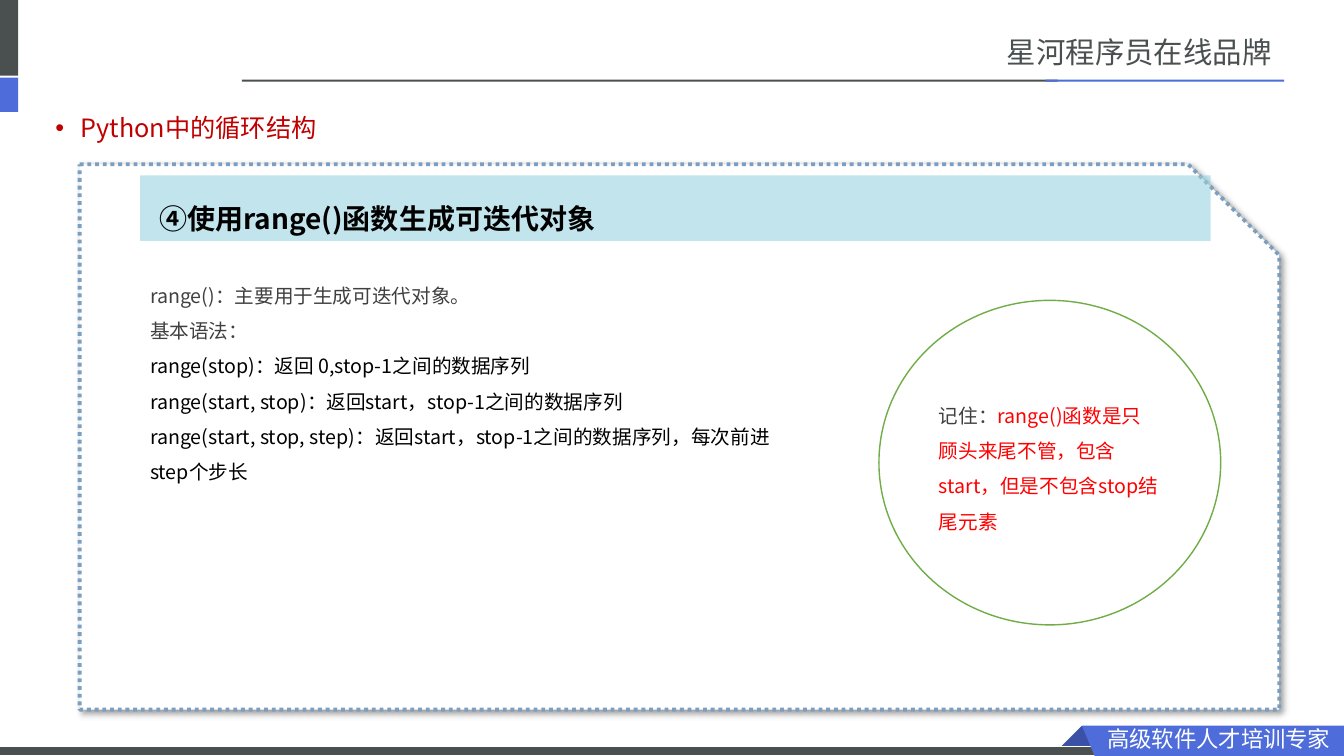
from lxml import etree
from pptx import Presentation, util as u
from pptx.dml.color import RGBColor
from pptx.enum import dml, shapes, text
from pptx.oxml import ns

COLORS = {
    "dark": "49504F", "blue": "4E6CDA", "fold": "3B51A5", "white": "FFFFFF",
    "frame": "7B9FC1", "band": "94D2E0", "green": "70AD47", "crimson": "C00000",
    "red": "FF0000", "gray": "404040", "black": "000000",
}
SANS, SANS_JP = "Noto Sans CJK SC", "Noto Sans CJK JP"


def color(name):
    return RGBColor.from_string(COLORS[name])


def add_xml(parent, tag, **attributes):
    return etree.SubElement(parent, ns.qn(tag), attributes)


class SlideBuilder:
    """Places elements on the slide; all lengths are percent of its size."""

    def __init__(self, presentation):
        self.width = presentation.slide_width
        self.height = presentation.slide_height
        self.slide = presentation.slides.add_slide(presentation.slide_layouts[6])

    def point(self, x, y):
        return round(self.width * x / 100), round(self.height * y / 100)

    def box(self, left, top, width, height):
        return *self.point(left, top), *self.point(width, height)

    def paint(self, shape, fill, line=None, points=1, alpha=None):
        shape.shadow.inherit = False
        shape.fill.solid()
        shape.fill.fore_color.rgb = color(fill)
        if alpha:
            fill_color = shape._element.spPr.find(".//" + ns.qn("a:srgbClr"))
            add_xml(fill_color, "a:alpha", val=str(alpha * 1000))
        if line:
            shape.line.color.rgb = color(line)
            shape.line.width = u.Pt(points)
        else:
            shape.line.fill.background()
        return shape

    def shape(self, area, fill, kind=shapes.MSO_SHAPE.RECTANGLE, **style):
        shape = self.slide.shapes.add_shape(kind, *self.box(*area))
        return self.paint(shape, fill, **style)

    def outline(self, corners, fill):
        start, *others = [self.point(*corner) for corner in corners]
        builder = self.slide.shapes.build_freeform(*start, scale=1.0)
        builder.add_line_segments(others, close=True)
        return self.paint(builder.convert_to_shape(), fill)

    def drop_shadow(self, shape):
        effects = shape._element.spPr.find(ns.qn("a:effectLst"))
        shadow = add_xml(effects, "a:outerShdw", blurRad=str(u.Pt(4)),
                         dist=str(u.Pt(3)), dir=str(45 * 60000), algn="tl")
        shadow_color = add_xml(shadow, "a:srgbClr", val=COLORS["black"])
        add_xml(shadow_color, "a:alpha", val="40000")

    def text_box(self, area, paragraphs, inset=0.1, **style):
        shape = self.slide.shapes.add_textbox(*self.box(*area))
        shape.text_frame.margin_left = shape.text_frame.margin_right = u.Inches(inset)
        return self.fill_text(shape, paragraphs, **style)

    def fill_text(self, shape, paragraphs, size, font=SANS, bold=False,
                  spacing=None, bullet=False):
        """Each paragraph is a list of (words, color name) runs."""
        frame = shape.text_frame
        frame.word_wrap = True
        for number, runs in enumerate(paragraphs):
            paragraph = frame.add_paragraph() if number else frame.paragraphs[0]
            paragraph.alignment = text.PP_ALIGN.LEFT
            paragraph.line_spacing = spacing
            if bullet:
                properties = paragraph._p.get_or_add_pPr()
                indent = u.Inches(0.25)
                properties.set("marL", str(indent))
                properties.set("indent", str(-indent))
                add_xml(properties, "a:buFont", typeface="Arial")
                add_xml(properties, "a:buChar", char="•")
            for words, color_name in runs:
                run = paragraph.add_run()
                run.text = words
                run.font.size = u.Pt(size)
                run.font.bold = bold
                run.font.name = font
                run.font.color.rgb = color(color_name)
                add_xml(run._r.get_or_add_rPr(), "a:ea", typeface=font)
        return shape


def main():
    presentation = Presentation()
    presentation.slide_width = u.Inches(13.33)
    presentation.slide_height = u.Inches(7.5)
    page = SlideBuilder(presentation)

    # Header: side tabs, rule and title
    page.shape((0, 0, 1.35, 10), "dark")
    page.shape((18, 10.53, 60.7, 0.27), "dark")
    page.shape((77.8, 10.53, 17.75, 0.27), "blue")
    page.shape((0, 10.27, 1.35, 4.53), "blue")
    page.text_box((74.55, 3.87, 21, 6), [[("星河程序员在线品牌", "dark")]],
                  size=21, inset=0.05)

    # Footer: bar and folded ribbon
    page.outline([(80.5, 96), (82.15, 98.93), (82.05, 99.07),
                  (78.9, 99.07), (78.85, 98.93)], "fold")
    page.shape((0, 98.8, 82.45, 1.2), "dark", line="white", points=0.75)
    page.outline([(80.5, 96), (100, 96), (100, 100), (81.45, 100)], "blue")
    page.text_box((82, 95.33, 17.65, 4.67), [[("高级软件人才培训专家", "white")]],
                  size=16, inset=0.05)

    # Frame with a clipped corner
    frame = page.shape((5.93, 21.73, 89.25, 72.13), "white",
                       kind=shapes.MSO_SHAPE.SNIP_1_RECTANGLE,
                       line="frame", points=2.75)
    frame.line.dash_style = dml.MSO_LINE.ROUND_DOT
    page.drop_shadow(frame)

    # Topic and section heading
    page.text_box((3.75, 14.67, 87.75, 5.07), [[("Python中的循环结构", "crimson")]],
                  size=18, font=SANS_JP, inset=0.05, spacing=0.9, bullet=True)
    page.shape((10.43, 23.2, 79.65, 8.67), "band", alpha=56)
    page.text_box((11.1, 24.67, 77.8, 9.47),
                  [[("④使用range()函数生成可迭代对象", "black")]],
                  size=20, bold=True, spacing=u.Pt(31.4))

    # Syntax of range()
    page.text_box((10.43, 35.33, 81.15, 45.07), [
        [("range()：主要用于生成可迭代对象。", "gray")],
        [("基本语法：", "gray")],
        [("range(stop)：返回 0,stop-1之间的数据序列", "black")],
        [("range(start, stop)：返回start，stop-1之间的数据序列", "black")],
        [("range(start, stop, step)：返回start，stop-1之间的数据序列，每次前进", "black")],
        [("step个步长", "black")],
    ], size=14, spacing=1.5)

    # Reminder
    reminder = page.shape((65.4, 39.73, 25.43, 42.93), "white",
                          kind=shapes.MSO_SHAPE.OVAL, line="green")
    reminder.text_frame.vertical_anchor = text.MSO_ANCHOR.MIDDLE
    page.fill_text(reminder, [[
        ("记住：", "gray"),
        ("range()函数是只顾头来尾不管，包含start，但是不包含stop结尾元素", "red"),
    ]], size=14, spacing=1.5)

    presentation.save("out.pptx")


if __name__ == "__main__":
    main()
